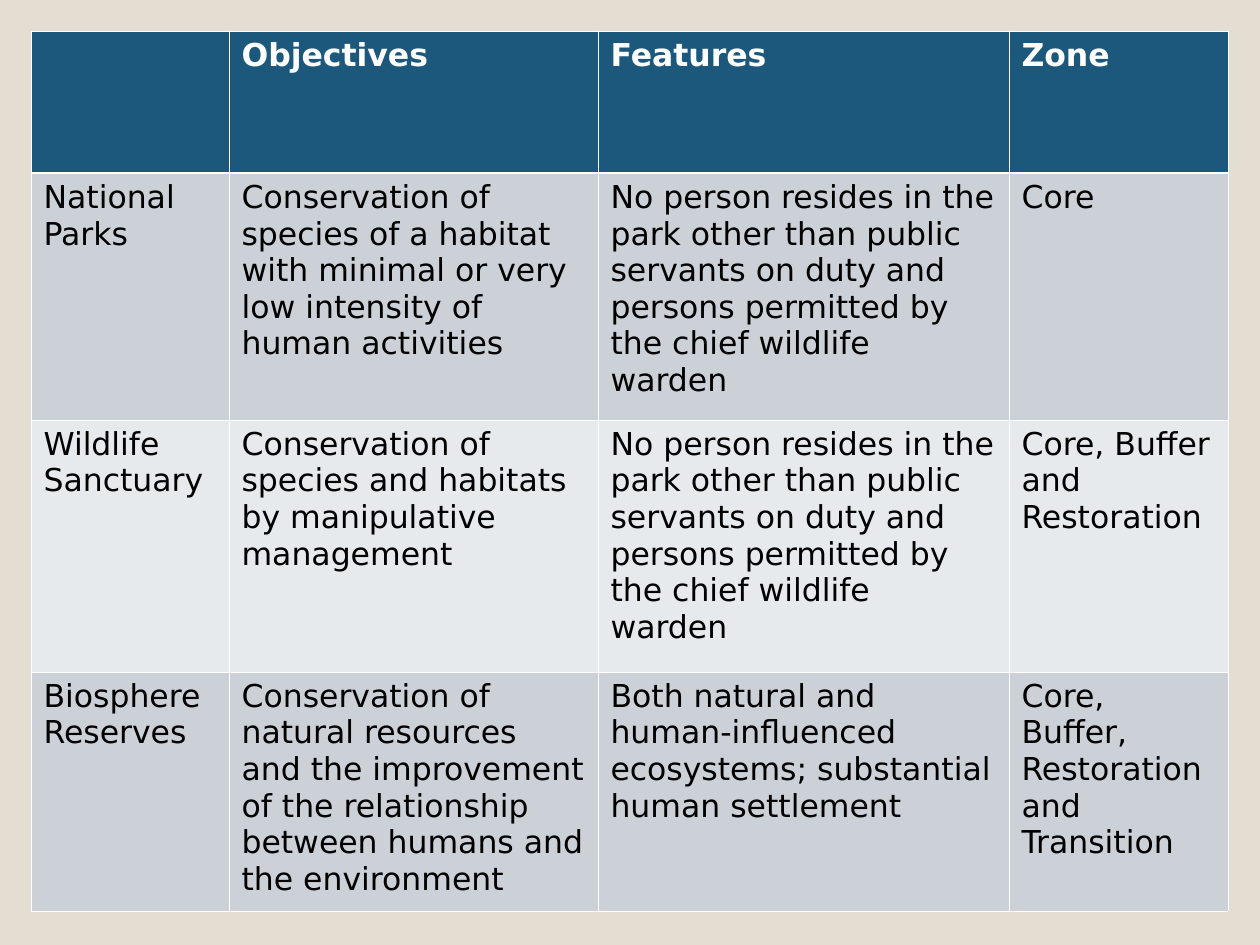
"""Build a slide with a table comparing kinds of protected areas."""
from dataclasses import dataclass

from lxml.etree import SubElement
from pptx import Presentation
from pptx.dml.color import RGBColor as RGB
from pptx.oxml.ns import qn
from pptx.util import Pt


@dataclass(frozen=True)
class Theme:
    background: str = "E3DED1"
    header: str = "1B587C"
    bands: tuple = ("CCD1D7", "E7EAEC")
    header_text: str = "FFFFFF"
    body_text: str = "000000"
    border: str = "FFFFFF"
    thin: float = 0.45
    thick: float = 1.47
    font: str = "DejaVu Sans"
    size: int = 18


THEME = Theme()
PX = 914400 // 126
COLUMN_WIDTHS = [198, 369, 411, 219]
ROW_HEIGHTS = [142, 247, 252, 239]
WARDEN_RULE = ("No person resides in the park other than public servants on duty "
               "and persons permitted by the chief wildlife warden")
ROWS = [
    ["", "Objectives", "Features", "Zone"],
    ["National Parks",
     "Conservation of species of a habitat with minimal or very low intensity of human activities",
     WARDEN_RULE, "Core"],
    ["Wildlife Sanctuary",
     "Conservation of species and habitats by manipulative management",
     WARDEN_RULE, "Core, Buffer and Restoration"],
    ["Biosphere Reserves",
     "Conservation of natural resources and the improvement of the relationship "
     "between humans and the environment",
     "Both natural and human-influenced ecosystems; substantial human settlement",
     "Core, Buffer, Restoration and Transition"],
]


def write_text(tf, text, *, color, bold=False):
    p = tf.paragraphs[0]
    p.font.size = Pt(THEME.size)
    if text:
        r = p.add_run()
        r.text = text
        r.font.name = THEME.font
        r.font.size = Pt(THEME.size)
        r.font.bold = bold
        r.font.color.rgb = RGB.from_string(color)


def set_borders(cell, **widths):
    tc_pr = cell._tc.get_or_add_tcPr()
    for side in ("L", "R", "T", "B"):
        ln = SubElement(tc_pr, qn(f"a:ln{side}"), w=str(Pt(widths.get(side, THEME.thin))))
        fill = SubElement(ln, qn("a:solidFill"))
        SubElement(fill, qn("a:srgbClr"), val=THEME.border)


prs = Presentation()
prs.slide_width, prs.slide_height = 1260 * PX, 945 * PX
s = prs.slides.add_slide(prs.slide_layouts[6])
s.background.fill.solid()
s.background.fill.fore_color.rgb = RGB.from_string(THEME.background)

table = s.shapes.add_table(
    len(ROWS), len(COLUMN_WIDTHS), 31 * PX, 31 * PX,
    sum(COLUMN_WIDTHS) * PX, sum(ROW_HEIGHTS) * PX).table
for column, width in zip(table.columns, COLUMN_WIDTHS):
    column.width = width * PX
for row, height in zip(table.rows, ROW_HEIGHTS):
    row.height = height * PX

for i, texts in enumerate(ROWS):
    is_header = i == 0
    fill_color = THEME.header if is_header else THEME.bands[(i - 1) % 2]
    text_color = THEME.header_text if is_header else THEME.body_text
    thick_sides = {0: {"B": THEME.thick}, 1: {"T": THEME.thick}}.get(i, {})
    for j, text in enumerate(texts):
        cell = table.cell(i, j)
        set_borders(cell, **thick_sides)
        cell.fill.solid()
        cell.fill.fore_color.rgb = RGB.from_string(fill_color)
        write_text(cell.text_frame, text, color=text_color, bold=is_header)

prs.save("out.pptx")
